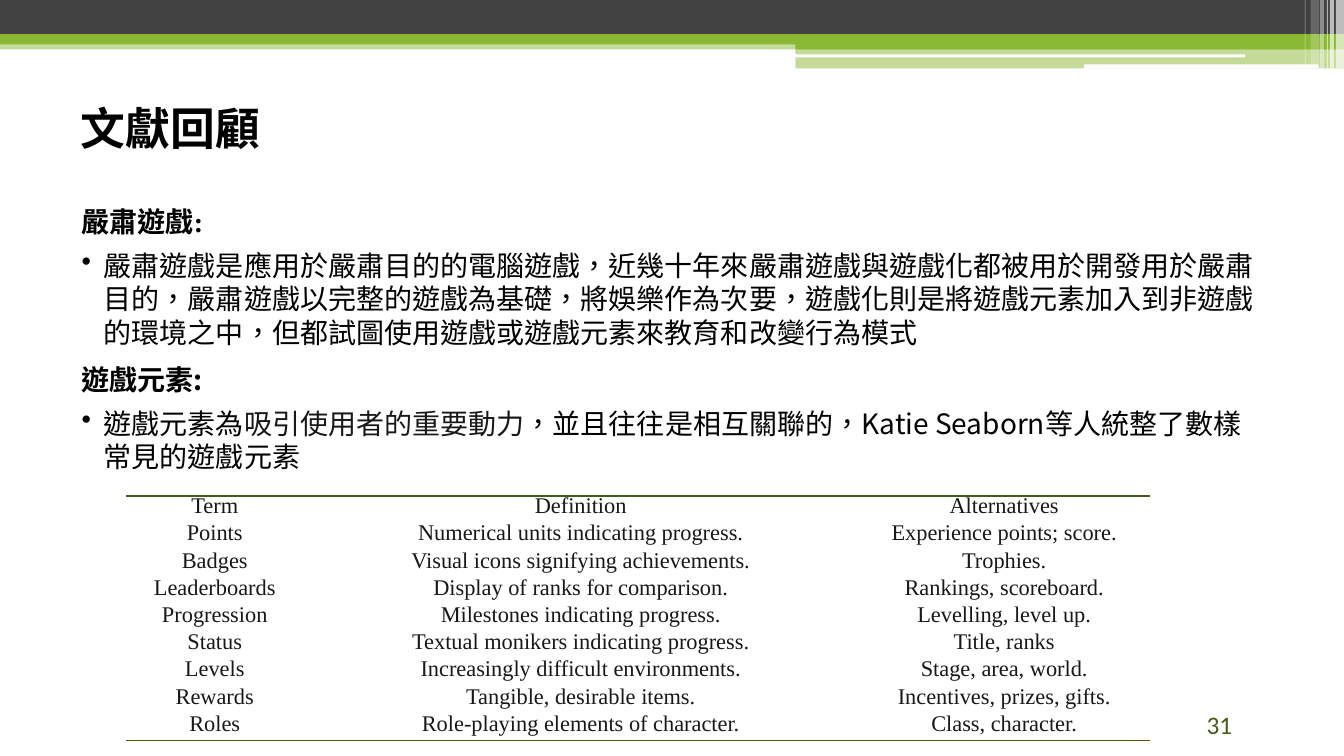
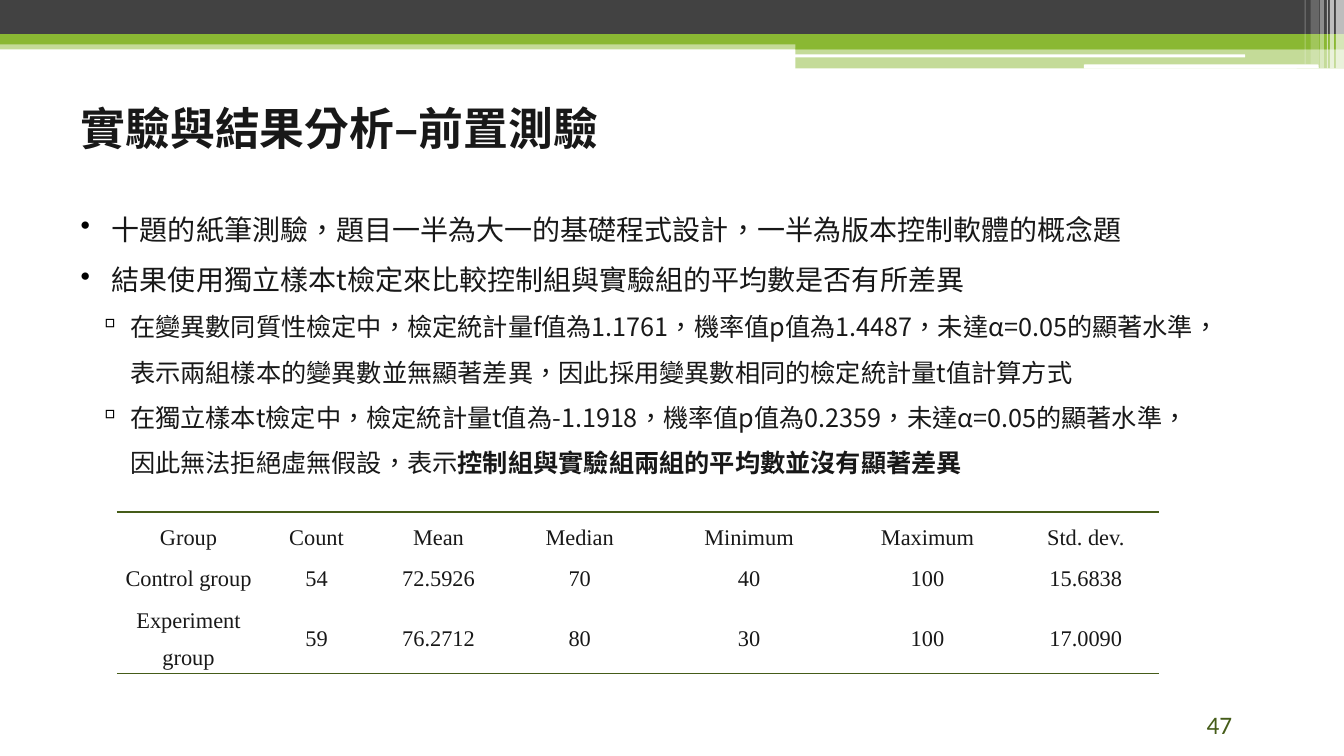
"""Build two slides on serious games and a pre-test, each with a plain table."""
from lxml import etree
from pptx import Presentation
from pptx import util as u
from pptx.dml.color import RGBColor
from pptx.enum import shapes, text
from pptx.oxml.ns import qn

PX = 9144
GREEN, DARK, WHITE = "8AB833", "424242", "FFFFFF"
MOSS, INK, BLACK = "455C19", "181818", "000000"
CJK, SERIF, SANS, HEAD = "Noto Sans CJK SC", "Times New Roman", "Calibri", "Roboto"
PLAIN = "{2D5ABB26-0587-4C30-8999-92F81FD0307C}"

BANDS = [
    (0, 40, 1333, 9, GREEN, 50), (0, 0, 1333, 34, DARK, 100),
    (0, 34, 1333, 10, GREEN, 100), (789, 39, 544, 10, GREEN, 100),
    (789, 48, 544, 20, GREEN, 50),
]
GAPS = [(788, 54, 447, 3, WHITE, 100), (1075, 64, 233, 4, WHITE, 100)]
STRIPES = [
    (1325, 0, 8, 68, WHITE, 65), (1319, 0, 4, 68, WHITE, 65),
    (1316, 0, 1, 68, WHITE, 60), (1309, 0, 4, 68, WHITE, 40),
    (1300, 0, 8, 64, WHITE, 20), (1294, 0, 1, 64, WHITE, 30),
]

# Each kind: size, line pitch, space before, space after, indent, hang, bullet
KINDS = {
    "lead": (20, 24, 0, 2, 0, 0, None),
    "head": (20, 24, 5, 5, 0, 0, None),
    "point": (20, 24, 5, 5, 22, 22, "•"),
    "last": (20, 24, 2, 2, 22, 22, "•"),
    "item": (20, 36, 0, 0, 31, 31, "•"),
    "sub": (18, 32.4, 0, 0, 49, 31, "▫"),
}

SLIDES = [
    {
        "title": "文獻回顧", "tint": BLACK, "page": "31",
        "box": (68, 196, 1200, 290),
        "body": [
            ("lead", [("嚴肅遊戲", CJK, BLACK, True), (":", SERIF, BLACK, True)]),
            ("point", [("嚴肅遊戲是應用於嚴肅目的的電腦遊戲，近幾十年來嚴肅遊戲與遊戲化都被用於開發用於嚴肅目的，嚴肅遊戲以完整的遊戲為基礎，將娛樂作為次要，遊戲化則是將遊戲元素加入到非遊戲的環境之中，但都試圖使用遊戲或遊戲元素來教育和改變行為模式", HEAD, BLACK, False)]),
            ("head", [("遊戲元素:", CJK, BLACK, True)]),
            ("last", [
                ("遊戲元素為", CJK, BLACK, False),
                ("吸引使用者的重要動力", CJK, INK, False),
                ("，並且往往是相互關聯的，Katie Seaborn等人統整了數樣常見的遊戲元素", CJK, BLACK, False),
            ]),
        ],
        "spot": (125, 492), "pitch": u.Pt(13),
        "cols": [176, 550, 290], "rows": [27] * 9,
        "cells": [
            ("Term", "Definition", "Alternatives"),
            ("Points", "Numerical units indicating progress.", "Experience points; score."),
            ("Badges", "Visual icons signifying achievements.", "Trophies."),
            ("Leaderboards", "Display of ranks for comparison.", "Rankings, scoreboard."),
            ("Progression", "Milestones indicating progress.", "Levelling, level up."),
            ("Status", "Textual monikers indicating progress.", "Title, ranks"),
            ("Levels", "Increasingly difficult environments.", "Stage, area, world."),
            ("Rewards", "Tangible, desirable items.", "Incentives, prizes, gifts."),
            ("Roles", "Role-playing elements of character.", "Class, character."),
        ],
    },
    {
        "title": "實驗與結果分析–前置測驗", "tint": INK, "page": "47",
        "box": (67, 187, 1131, 310),
        "body": [
            ("item", [("十題的紙筆測驗，題目一半為大一的基礎程式設計，一半為版本控制軟體的概念題", CJK, INK, False)]),
            ("item", [("結果使用獨立樣本t檢定來比較控制組與實驗組的平均數是否有所差異", CJK, INK, False)]),
            ("sub", [("在變異數同質性檢定中，檢定統計量f值為1.1761，機率值p值為1.4487，未達α=0.05的顯著水準，表示兩組樣本的變異數並無顯著差異，因此採用變異數相同的檢定統計量t值計算方式", CJK, INK, False)]),
            ("sub", [
                ("在獨立樣本t檢定中，檢定統計量t值為-1.1918，機率值p值為0.2359，未達α=0.05的顯著水準，因此無法拒絕虛無假設，表示", CJK, INK, False),
                ("控制組與實驗組兩組的平均數並沒有顯著差異", CJK, INK, True),
            ]),
        ],
        "spot": (116, 508), "pitch": 1.5,
        "cols": [142, 112, 130, 150, 186, 168, 146], "rows": [37, 37, 78],
        "cells": [
            ("Group", "Count", "Mean", "Median", "Minimum", "Maximum", "Std. dev."),
            ("Control group", "54", "72.5926", "70", "40", "100", "15.6838"),
            ("Experiment group", "59", "76.2712", "80", "30", "100", "17.0090"),
        ],
    },
]


def rgb(code):
    """Turn a hex string into a colour."""
    return RGBColor.from_string(code)


def sub(node, tag, **attrs):
    """Add a child element."""
    return etree.SubElement(node, qn(tag), attrs)


def style(run, size, face, tint, bold=False):
    """Format one run."""
    font = run.font
    font.size, font.bold, font.name = u.Pt(size), bold, face
    font.color.rgb = rgb(tint)
    props = run._r.get_or_add_rPr()
    props.set("lang", "zh-TW")
    sub(props, "a:ea", typeface=CJK)


def band(slide, layout, kind, place, tint, alpha):
    """Draw one band and move it to the layout."""
    shape = slide.shapes.add_shape(kind, *(n * PX for n in place))
    shape.shadow.inherit = False
    shape.line.fill.background()
    shape.fill.solid()
    shape.fill.fore_color.rgb = rgb(tint)
    if alpha < 100:
        color = shape._element.spPr.find(qn("a:solidFill"))[0]
        sub(color, "a:alpha", val=str(alpha * 1000))
    layout.shapes._spTree.append(shape._element)


def box(slide, place, pad, anchor):
    """Add a wrapping text box and return its frame."""
    frame = slide.shapes.add_textbox(*(n * PX for n in place)).text_frame
    frame.word_wrap = True
    frame.vertical_anchor = anchor
    frame.margin_left = frame.margin_right = pad[0] * PX
    frame.margin_top = frame.margin_bottom = pad[1] * PX
    return frame


def line(slide, place, pad, anchor, words, look, indent=0):
    """Add a box with one line of text."""
    para = box(slide, place, pad, anchor).paragraphs[0]
    para.text = words
    para._p.get_or_add_pPr().set("indent", str(indent * PX))
    style(para.runs[0], *look)


def body(slide, place, items):
    """Write the paragraphs of the main text."""
    frame = box(slide, place, (13, 7), text.MSO_ANCHOR.TOP)
    for i, (kind, runs) in enumerate(items):
        size, pitch, before, after, left, hang, mark = KINDS[kind]
        para = frame.add_paragraph() if i else frame.paragraphs[0]
        para.line_spacing = u.Pt(pitch)
        para.space_before, para.space_after = u.Pt(before), u.Pt(after)
        props = para._p.get_or_add_pPr()
        props.set("marL", str(left * PX))
        props.set("indent", str(-hang * PX))
        if mark:
            sub(sub(props, "a:buClr"), "a:srgbClr", val=BLACK)
            sub(props, "a:buChar", char=mark)
        for words, face, tint, bold in runs:
            run = para.add_run()
            run.text = words
            style(run, size, face, tint, bold)


def edge(cell, tag):
    """Rule one side of a cell."""
    rule = etree.Element(qn(tag), w=str(u.Pt(1)))
    sub(sub(rule, "a:solidFill"), "a:srgbClr", val=MOSS)
    cell._tc.get_or_add_tcPr().insert(0, rule)


def grid(slide, spot, cols, rows, cells, pitch):
    """Add a table ruled at top and bottom."""
    place = (*spot, sum(cols), sum(rows))
    table = slide.shapes.add_table(len(rows), len(cols), *(n * PX for n in place)).table
    table.first_row = table.horz_banding = False
    table._tbl.tblPr.find(qn("a:tableStyleId")).text = PLAIN
    for col, wide in zip(table.columns, cols):
        col.width = wide * PX
    for r, (row, high) in enumerate(zip(table.rows, rows)):
        row.height = high * PX
        for cell, words in zip(row.cells, cells[r]):
            cell.margin_left = cell.margin_right = 0
            cell.margin_top = cell.margin_bottom = 0
            cell.vertical_anchor = text.MSO_ANCHOR.MIDDLE
            cell.fill.background()
            para = cell.text_frame.paragraphs[0]
            para.text = words
            para.alignment = text.PP_ALIGN.CENTER
            para.line_spacing = pitch
            style(para.runs[0], 16, SERIF, INK)
            if r == 0:
                edge(cell, "a:lnT")
            if r == len(rows) - 1:
                edge(cell, "a:lnB")


def main():
    """Build and save the deck."""
    deck = Presentation()
    deck.slide_width, deck.slide_height = 1333 * PX, 750 * PX
    layout = deck.slide_layouts[6]
    kinds = shapes.MSO_SHAPE
    for n, data in enumerate(SLIDES):
        slide = deck.slides.add_slide(layout)
        if n == 0:
            for kind, group in ((kinds.RECTANGLE, BANDS),
                                (kinds.ROUNDED_RECTANGLE, GAPS),
                                (kinds.RECTANGLE, STRIPES)):
                for *place, tint, alpha in group:
                    band(slide, layout, kind, place, tint, alpha)
        line(slide, (0, 68, 1267, 117), (13, 7), text.MSO_ANCHOR.MIDDLE,
             data["title"], (32, HEAD, data["tint"], True), 67)
        body(slide, data["box"], data["body"])
        line(slide, (1187, 699, 129, 40), (10, 5), text.MSO_ANCHOR.BOTTOM,
             data["page"], (18, SANS, MOSS))
        grid(slide, data["spot"], data["cols"], data["rows"], data["cells"], data["pitch"])
    deck.save("out.pptx")


if __name__ == "__main__":
    main()
